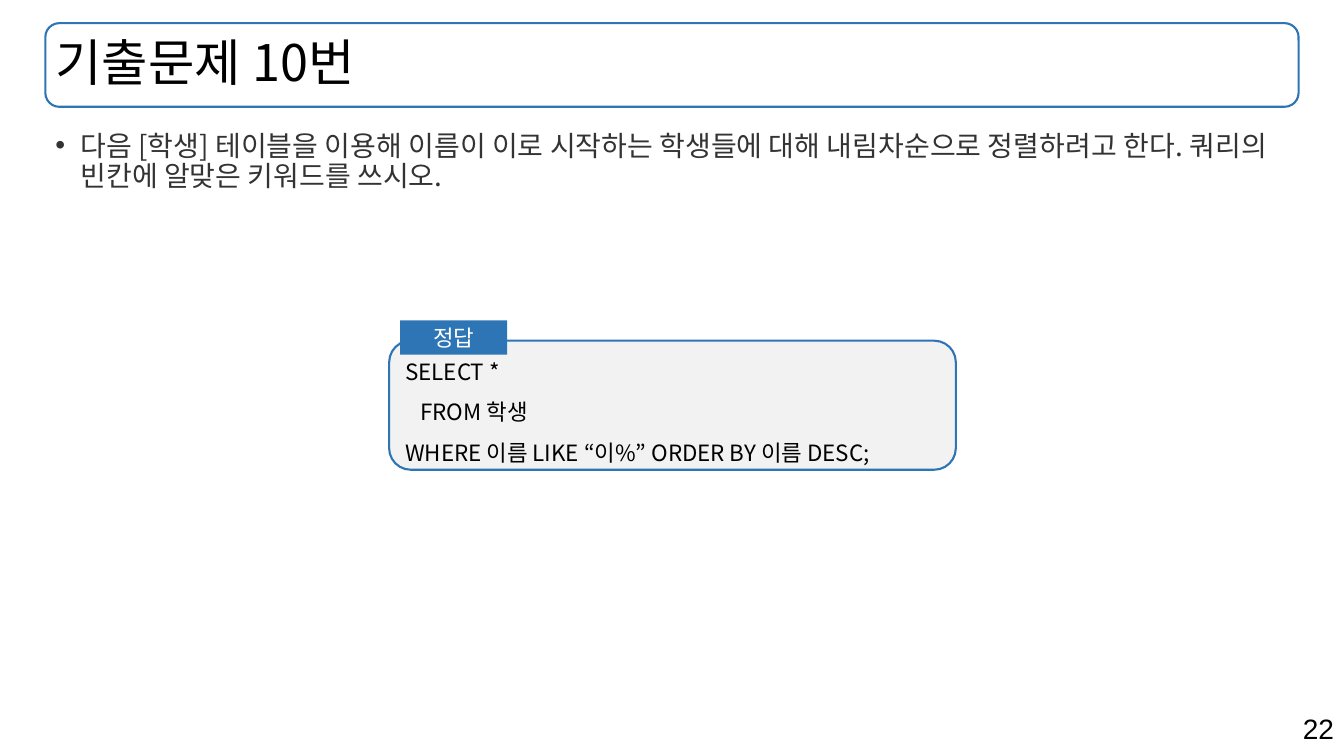
"""Build the exam question 10 slide with its SQL answer."""
from dataclasses import dataclass, field
from typing import Any, Optional

from lxml.etree import SubElement
from pptx import Presentation
from pptx.dml.color import RGBColor
from pptx.enum.shapes import MSO_SHAPE
from pptx.enum.text import MSO_ANCHOR, MSO_AUTO_SIZE, PP_ALIGN
from pptx.oxml.ns import qn
from pptx.util import Inches, Pt

BLUE = RGBColor(0x2E, 0x75, 0xB6)
LIGHT = RGBColor(0xF2, 0xF2, 0xF2)
DARK = RGBColor(0x33, 0x33, 0x33)
BLACK = RGBColor(0, 0, 0)
WHITE = RGBColor(0xFF, 0xFF, 0xFF)
KOREAN = "Noto Sans CJK KR"
HEADER = (0.45, 0.23, 12.43, 0.83)


@dataclass
class Text:
    lines: list[str]
    size: int
    color: RGBColor = BLACK
    font: str = KOREAN
    anchor: MSO_ANCHOR = MSO_ANCHOR.MIDDLE
    bullet: bool = False
    layout: dict[str, Any] = field(default_factory=dict)


@dataclass
class Panel:
    box: tuple[float, float, float, float]
    kind: MSO_SHAPE
    fill: Optional[RGBColor] = None
    line: Optional[RGBColor] = None
    text: Optional[Text] = None


def apply(target: Any, values: dict[str, Any]) -> None:
    for name, value in values.items():
        setattr(target, name, value)


def inches(box: tuple[float, ...]) -> list[int]:
    return [Inches(v) for v in box]


def add_bullet(p: Any) -> None:
    pPr = p._p.get_or_add_pPr()
    pPr.set("marL", str(Inches(0.25)))
    pPr.set("indent", str(-Inches(0.25)))
    SubElement(pPr, qn("a:buFont"), typeface="Arial")
    SubElement(pPr, qn("a:buChar"), char="•")


def write(s: Any, text: Text) -> None:
    tf = s.text_frame
    apply(tf, {"word_wrap": True, "auto_size": MSO_AUTO_SIZE.NONE, "vertical_anchor": text.anchor})
    for i, line in enumerate(text.lines):
        p = tf.add_paragraph() if i else tf.paragraphs[0]
        apply(p, {"alignment": PP_ALIGN.LEFT, **text.layout})
        if text.bullet:
            add_bullet(p)
        r = p.add_run()
        r.text = line
        apply(r.font, {"size": Pt(text.size), "name": text.font})
        r.font.color.rgb = text.color
        SubElement(r._r.get_or_add_rPr(), qn("a:ea"), typeface=text.font)


def add_panel(shapes: Any, panel: Panel) -> None:
    s = shapes.add_shape(panel.kind, *inches(panel.box))
    s.shadow.inherit = False
    if panel.fill is None:
        s.fill.background()
    else:
        s.fill.solid()
        s.fill.fore_color.rgb = panel.fill
    if panel.line is None:
        s.line.fill.background()
    else:
        s.line.color.rgb = panel.line
        s.line.width = Pt(1.5)
    if panel.text:
        write(s, panel.text)


def main() -> None:
    prs = Presentation()
    apply(prs, {"slide_width": Inches(13.33), "slide_height": Inches(7.5)})
    slide = prs.slides.add_slide(prs.slide_layouts[5])
    shapes = slide.shapes

    title = shapes.title
    apply(title, dict(zip(("left", "top", "width", "height"), inches(HEADER))))
    write(title, Text(["기출문제 10번"], 36, layout={"line_spacing": 0.9}))

    question = ("다음 [학생] 테이블을 이용해 이름이 이로 시작하는 학생들에 대해 "
                "내림차순으로 정렬하려고 한다. 쿼리의 빈칸에 알맞은 키워드를 쓰시오.")
    query = ["SELECT *", "   FROM 학생", "WHERE 이름 LIKE “이%” ORDER BY 이름 DESC;"]

    notes = [
        ((9.43, 7.01, 3.9, 0.44),
         Text(["22"], 20, font="Arial", anchor=MSO_ANCHOR.TOP, layout={"alignment": PP_ALIGN.RIGHT})),
        ((0.45, 1.26, 12.43, 5.53),
         Text([question], 20, DARK, anchor=MSO_ANCHOR.TOP, bullet=True, layout={"line_spacing": 0.9})),
    ]
    for box, text in notes:
        write(shapes.add_textbox(*inches(box)), text)

    panels = [
        Panel(HEADER, MSO_SHAPE.ROUNDED_RECTANGLE, line=BLUE),
        Panel((3.86, 3.38, 5.62, 1.28), MSO_SHAPE.ROUNDED_RECTANGLE, LIGHT, BLUE,
              Text(query, 16, layout={"line_spacing": 1.5})),
        Panel((3.97, 3.18, 1.06, 0.34), MSO_SHAPE.RECTANGLE, BLUE,
              text=Text(["정답"], 16, WHITE, layout={"alignment": PP_ALIGN.CENTER})),
    ]
    for panel in panels:
        add_panel(shapes, panel)

    prs.save("out.pptx")


if __name__ == "__main__":
    main()
